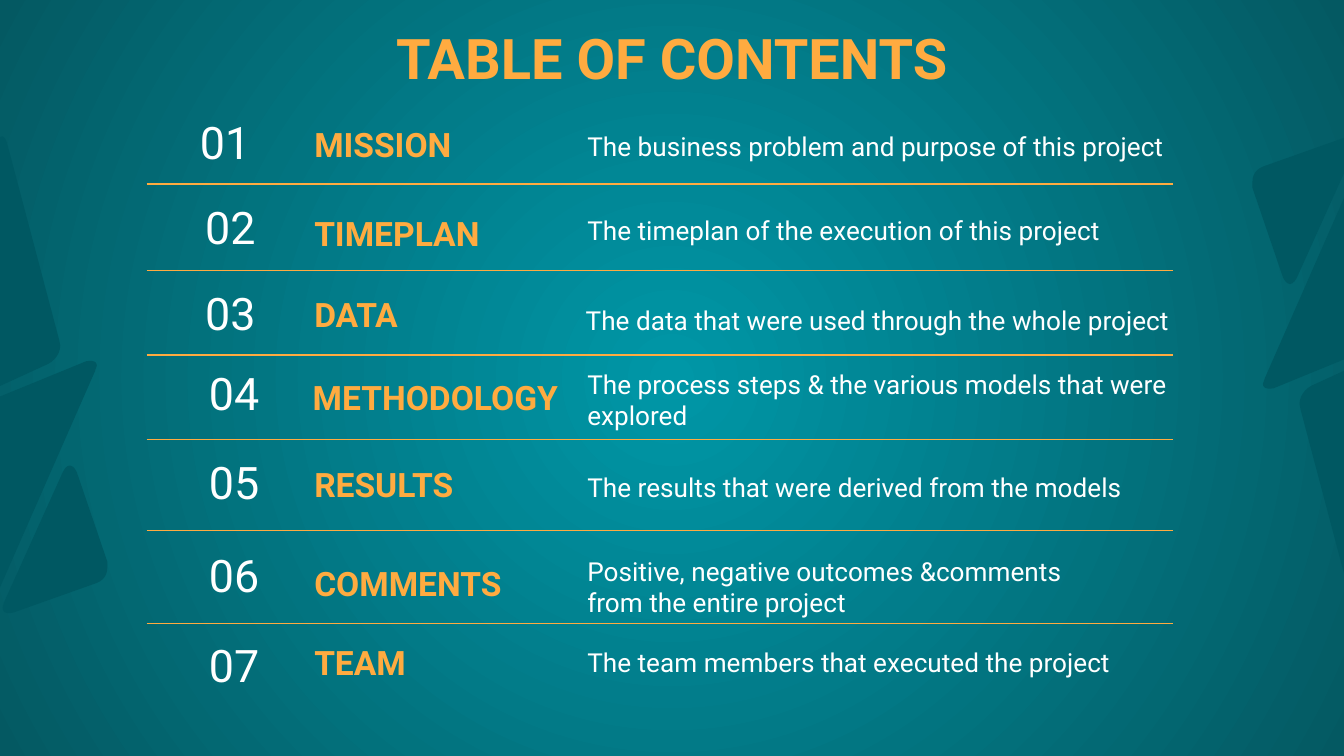
from dataclasses import dataclass

from lxml import etree
from pptx import Presentation
from pptx.dml.color import RGBColor
from pptx.enum.shapes import MSO_CONNECTOR
from pptx.enum.text import MSO_ANCHOR, PP_ALIGN
from pptx.oxml.ns import qn
from pptx.util import Cm, Pt

STRAIGHT = MSO_CONNECTOR.STRAIGHT
TOP, MIDDLE = MSO_ANCHOR.TOP, MSO_ANCHOR.MIDDLE
LEFT, CENTER, RIGHT = PP_ALIGN.LEFT, PP_ALIGN.CENTER, PP_ALIGN.RIGHT


@dataclass(frozen=True)
class Style:
    size: int
    color: RGBColor
    bold: bool = False


class Theme:
    font = "Roboto"
    accent = RGBColor(0xFF, 0xAB, 0x40)
    white = RGBColor(0xFF, 0xFF, 0xFF)
    glow = RGBColor(0x00, 0x97, 0xA7)
    edge = RGBColor(0x04, 0x59, 0x62)
    shard = RGBColor(0x00, 0x58, 0x62)
    divider_width = 0.75
    title = Style(30, accent, True)
    number = Style(24, white)
    heading = Style(18, accent, True)
    description = Style(14, white)


SLIDE_WIDTH, SLIDE_HEIGHT = 25.4, 14.29

# Boxes are (left, top, width, height) in cm.
ENTRIES = [
    ("01", (3.38, 1.88, 1.6, 1.6),
     "MISSION", (5.69, 2.11, 4.93, 1.24),
     "The business problem and purpose of this project", (10.85, 1.7, 11.63, 2.11)),
    ("02", (3.48, 3.48, 1.6, 1.6),
     "TIMEPLAN", (5.69, 3.71, 5, 1.4),
     "The timeplan of the execution of this project", (10.85, 3.3, 11.15, 2.11)),
    ("03", (3.48, 5.11, 1.6, 1.6),
     "DATA", (5.69, 5.31, 6.45, 1.24),
     "The data that were used through the whole project", (10.82, 5, 12.04, 2.11)),
    ("04", (3.35, 6.63, 1.8, 1.6),
     "METHODOLOGY", (5.66, 6.83, 6.22, 1.35),
     "The process steps & the various models that were explored",
     (10.85, 6.5, 12.37, 2.11)),
    ("05", (3.35, 8.31, 1.8, 1.6),
     "RESULTS", (5.69, 8.46, 5, 1.37),
     "The results that were derived from the models", (10.85, 8.36, 11.15, 1.68)),
    ("06", (3.35, 10.06, 1.8, 1.6),
     "COMMENTS", (5.69, 10.34, 6.22, 1.35),
     "Positive, negative outcomes &comments from the entire project",
     (10.85, 10.03, 10.26, 2.11)),
    ("07", (3.35, 11.76, 1.8, 1.6),
     "TEAM", (5.69, 11.91, 6.22, 1.22),
     "The team members that executed the project", (10.85, 11.76, 11.02, 1.52)),
]

DIVIDER_LEFT, DIVIDER_RIGHT = 2.77, 22.17
DIVIDER_TOPS = [3.48, 5.11, 6.71, 8.31, 10.03, 11.79]

# Each step holds the end of a line, or two control points and the end of a curve.
LEFT_SHARDS = [
    [(-1.63, 8.38), (-1.63, 8.41, -1.63, 8.46, -1.6, 8.51), (-1.32, 9.19),
     (-1.24, 9.37, -1.17, 9.63, -1.09, 9.8), (-0.46, 11.63),
     (-0.41, 11.81, -0.3, 11.81, -0.23, 11.63), (1.8, 7.01),
     (1.8, 6.99, 1.83, 6.93, 1.83, 6.91), (1.83, 6.83, 1.75, 6.81, 1.63, 6.83),
     (-1.42, 8.08), (-1.55, 8.13, -1.63, 8.26, -1.63, 8.38)],
    [(0.05, 11.48), (0.05, 11.58, 0.13, 11.61, 0.25, 11.58), (1.83, 11.02),
     (1.96, 10.97, 2.03, 10.87, 2.03, 10.72), (2.03, 10.62), (1.45, 8.92),
     (1.37, 8.76, 1.27, 8.76, 1.19, 8.92), (0.08, 11.38)],
    [(-0.86, 7.47), (-0.86, 7.59, -0.76, 7.67, -0.64, 7.59), (0.91, 6.88),
     (1.04, 6.81, 1.14, 6.68, 1.14, 6.53), (1.12, 6.43), (0.13, 2.69),
     (0.08, 2.54, 0, 2.54, -0.03, 2.69), (-0.86, 7.42)],
]
HALF_TURN_X, HALF_TURN_Y = 25.7, 14.17
CURVE_STEPS = 6


def paint_background(slide):
    """Fill the slide with a gradient that spreads from its centre."""
    fill = slide.background.fill
    fill.gradient()
    for stop, color, position in zip(fill.gradient_stops, (Theme.glow, Theme.edge), (0, 1)):
        stop.color.rgb = color
        stop.position = position
    gradient = next(slide.element.iter(qn("a:gradFill")))
    gradient.remove(gradient.find(qn("a:lin")))
    spread = etree.SubElement(gradient, qn("a:path"), path="circle")
    etree.SubElement(spread, qn("a:fillToRect"),
                     {side: "50000" for side in ("l", "t", "r", "b")})


def trace(steps):
    """Return the points of an outline, with its curves cut into short lines."""
    points = [steps[0]]
    for step in steps[1:]:
        if len(step) == 2:
            points.append(step)
            continue
        start = points[-1]
        first, second, end = step[:2], step[2:4], step[4:]
        for i in range(1, CURVE_STEPS + 1):
            t = i / CURVE_STEPS
            u = 1 - t
            points.append(tuple(
                u**3 * a + 3 * u * u * t * b + 3 * u * t * t * c + t**3 * d
                for a, b, c, d in zip(start, first, second, end)))
    return points


def add_shard(slide, points):
    corners = [(Cm(x), Cm(y)) for x, y in points]
    builder = slide.shapes.build_freeform(*corners[0])
    builder.add_line_segments(corners[1:], close=True)
    shard = builder.convert_to_shape()
    shard.shadow.inherit = False
    shard.fill.solid()
    shard.fill.fore_color.rgb = Theme.shard
    shard.line.fill.background()


def add_divider(slide, top):
    divider = slide.shapes.add_connector(
        STRAIGHT, Cm(DIVIDER_LEFT), Cm(top), Cm(DIVIDER_RIGHT), Cm(top))
    divider.line.color.rgb = Theme.accent
    divider.line.width = Pt(Theme.divider_width)
    etree.SubElement(divider.element.spPr, qn("a:effectLst"))


def add_text(slide, text, box, style, align=LEFT, anchor=MIDDLE):
    frame = slide.shapes.add_textbox(*map(Cm, box)).text_frame
    frame.word_wrap = True
    frame.vertical_anchor = anchor
    frame.margin_left = frame.margin_right = Cm(0.25)
    frame.margin_top = frame.margin_bottom = Cm(0.25)
    paragraph = frame.paragraphs[0]
    paragraph.alignment = align
    run = paragraph.add_run()
    run.text = text
    run.font.name = Theme.font
    run.font.size = Pt(style.size)
    run.font.bold = style.bold
    run.font.color.rgb = style.color


def main():
    deck = Presentation()
    deck.slide_width, deck.slide_height = Cm(SLIDE_WIDTH), Cm(SLIDE_HEIGHT)
    slide = deck.slides.add_slide(deck.slide_layouts[6])
    paint_background(slide)

    outlines = [trace(steps) for steps in LEFT_SHARDS]
    for outline in outlines:
        add_shard(slide, outline)
    for outline in outlines:
        add_shard(slide, [(HALF_TURN_X - x, HALF_TURN_Y - y) for x, y in outline])

    add_text(slide, "TABLE OF CONTENTS", (0, 0.2, SLIDE_WIDTH, 1.27),
             Theme.title, CENTER, TOP)
    for top in DIVIDER_TOPS:
        add_divider(slide, top)
    for number, number_box, heading, heading_box, description, description_box in ENTRIES:
        add_text(slide, number, number_box, Theme.number, RIGHT)
        add_text(slide, heading, heading_box, Theme.heading)
        add_text(slide, description, description_box, Theme.description)

    deck.save("out.pptx")


if __name__ == "__main__":
    main()
